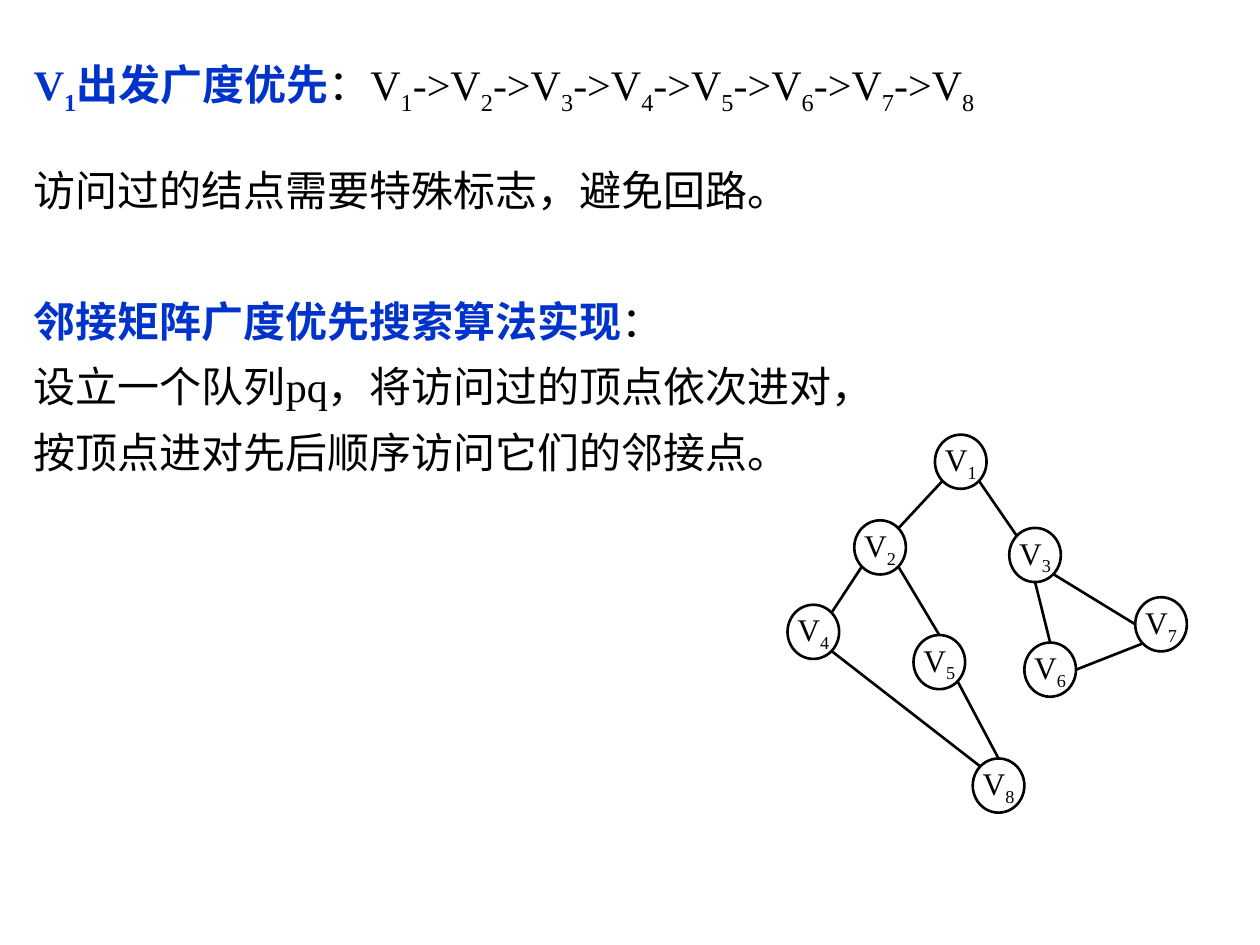
from dataclasses import dataclass
from math import sqrt

from lxml.etree import SubElement
from pptx import Presentation
from pptx.dml.color import RGBColor
from pptx.enum.shapes import MSO_CONNECTOR, MSO_SHAPE
from pptx.enum.text import MSO_ANCHOR, MSO_AUTO_SIZE, PP_ALIGN
from pptx.oxml.ns import qn
from pptx.util import Inches, Pt

OVAL = MSO_SHAPE.OVAL
LINE = MSO_CONNECTOR.STRAIGHT
MIDDLE = MSO_ANCHOR.MIDDLE
GROW = MSO_AUTO_SIZE.SHAPE_TO_FIT_TEXT
CENTER = PP_ALIGN.CENTER


@dataclass(frozen=True)
class Theme:
    font: str = "Times New Roman"
    ink: RGBColor = RGBColor(0, 0, 0)
    blue: RGBColor = RGBColor(0x00, 0x33, 0xCC)
    body: int = 24
    label: int = 18
    line: float = 1.5


@dataclass(frozen=True)
class Bit:
    text: str
    strong: bool = False
    sub: bool = False


@dataclass(frozen=True)
class Para:
    bits: list[Bit]
    lead: float = 1.3
    before: int = 0


@dataclass(frozen=True)
class Node:
    num: int
    left: float
    top: float


@dataclass(frozen=True)
class Edge:
    start: int
    side: str
    end: int
    to: str


THEME = Theme()
WIDE, HIGH = 0.41, 0.43

# Where lines meet a circle, as shares of its half width and half height
DIAG = 1 / sqrt(2)
SIDES = {
    "n": (0, -1), "s": (0, 1), "w": (-1, 0), "e": (1, 0),
    "nw": (-DIAG, -DIAG), "ne": (DIAG, -DIAG),
    "sw": (-DIAG, DIAG), "se": (DIAG, DIAG),
}


def vertex(num: int, strong: bool = False) -> list[Bit]:
    return [Bit("V", strong), Bit(str(num), strong, sub=True)]


def visits(count: int) -> list[Bit]:
    bits = vertex(1)
    for num in range(2, count + 1):
        bits += [Bit("->V"), Bit(str(num), sub=True)]
    return bits


NODES = [
    Node(1, 7.42, 3.45), Node(2, 6.78, 4.13), Node(3, 8.01, 4.19),
    Node(4, 6.25, 4.8), Node(5, 7.25, 5.04), Node(8, 7.72, 6.02),
    Node(6, 8.13, 5.1), Node(7, 9.01, 4.74),
]

EDGES = [
    Edge(1, "sw", 2, "ne"), Edge(2, "sw", 4, "ne"), Edge(1, "se", 3, "nw"),
    Edge(4, "se", 8, "nw"), Edge(2, "se", 5, "n"), Edge(5, "se", 8, "n"),
    Edge(3, "s", 6, "n"), Edge(3, "se", 7, "w"), Edge(6, "e", 7, "sw"),
]

PARAS = [
    Para(vertex(1, True) + [Bit("出发广度优先", True), Bit("：")]
         + visits(len(NODES))),
    Para([Bit("访问过的结点需要特殊标志，避免回路。")], lead=1.0, before=28),
    Para([Bit("邻接矩阵广度优先搜索算法实现", True), Bit("：")], before=37),
    Para([Bit("设立一个队列pq，将访问过的顶点依次进对，")]),
    Para([Bit("按顶点进对先后顺序访问它们的邻接点。")]),
]


def write(para, bits: list[Bit], size: int) -> None:
    for bit in bits:
        run = para.add_run()
        run.text = bit.text
        font = run.font
        font.name, font.size, font.bold = THEME.font, Pt(size), bit.strong
        font.color.rgb = THEME.blue if bit.strong else THEME.ink
        if bit.sub:
            run._r.get_or_add_rPr().set("baseline", "-25000")


def draw_text(slide, paras: list[Para]) -> None:
    box = slide.shapes.add_textbox(
        Inches(0.17), Inches(0.28), Inches(9.5), Inches(3.63))
    frame = box.text_frame
    frame.word_wrap = True
    frame.auto_size = GROW
    for i, item in enumerate(paras):
        para = frame.add_paragraph() if i else frame.paragraphs[0]
        para.line_spacing = item.lead
        if item.before:
            para.space_before = Pt(item.before)
        write(para, item.bits, THEME.body)


def draw_node(slide, node: Node) -> None:
    disc = slide.shapes.add_shape(
        OVAL, Inches(node.left), Inches(node.top), Inches(WIDE), Inches(HIGH))
    disc.shadow.inherit = False
    disc.fill.background()
    disc.line.color.rgb = THEME.ink
    disc.line.width = Pt(THEME.line)
    frame = disc.text_frame
    frame.word_wrap = False
    frame.vertical_anchor = MIDDLE
    para = frame.paragraphs[0]
    para.alignment = CENTER
    write(para, vertex(node.num), THEME.label)


def point(node: Node, side: str) -> tuple[int, int]:
    dx, dy = SIDES[side]
    return (Inches(node.left + WIDE / 2 * (1 + dx)),
            Inches(node.top + HIGH / 2 * (1 + dy)))


def draw_edge(slide, edge: Edge, nodes: dict[int, Node]) -> None:
    start = point(nodes[edge.start], edge.side)
    end = point(nodes[edge.end], edge.to)
    link = slide.shapes.add_connector(LINE, *start, *end)
    link.line.color.rgb = THEME.ink
    link.line.width = Pt(THEME.line)
    SubElement(link._element.spPr, qn("a:effectLst"))


def main() -> None:
    deck = Presentation()
    deck.slide_width, deck.slide_height = Inches(10), Inches(7.5)
    slide = deck.slides.add_slide(deck.slide_layouts[6])

    # Explanation
    draw_text(slide, PARAS)

    # Graph
    for node in NODES:
        draw_node(slide, node)
    nodes = {node.num: node for node in NODES}
    for edge in EDGES:
        draw_edge(slide, edge, nodes)

    deck.save("out.pptx")


if __name__ == "__main__":
    main()
